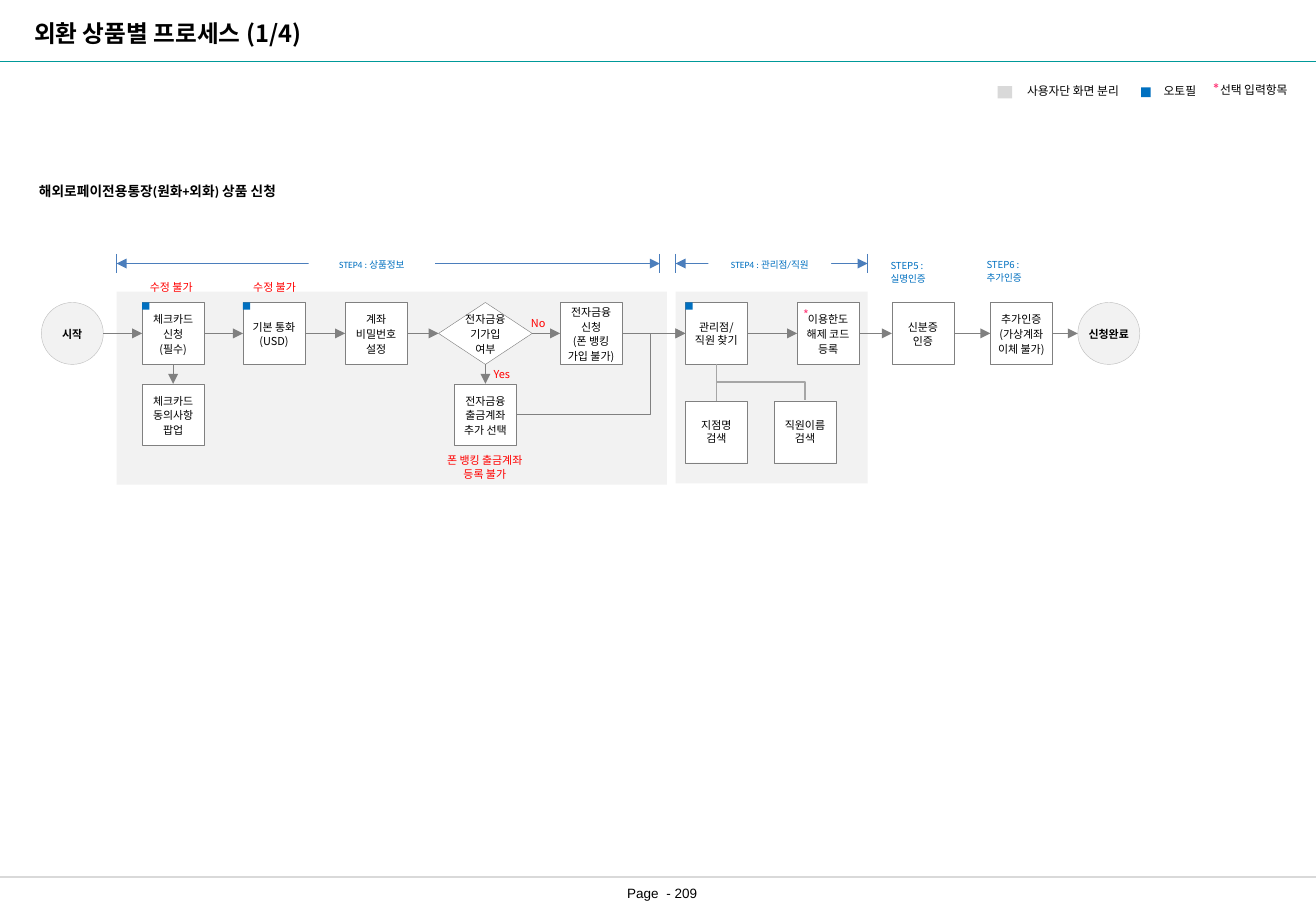
import pptx
import pptx.util
import pptx.dml.color
import pptx.enum.shapes
import pptx.enum.text
import pptx.oxml
import pptx.oxml.ns

Inches = pptx.util.Inches
Pt = pptx.util.Pt
SHAPES = pptx.enum.shapes.MSO_SHAPE
LINES = pptx.enum.shapes.MSO_CONNECTOR
ANCHOR = pptx.enum.text.MSO_ANCHOR
ALIGN = pptx.enum.text.PP_ALIGN
FIT = pptx.enum.text.MSO_AUTO_SIZE.SHAPE_TO_FIT_TEXT

COLORS = {
    "black": "000000", "white": "FFFFFF", "panel": "F2F2F2", "edge": "808080",
    "circle": "BFBFBF", "branch": "A6A6A6", "blue": "0070C0", "bracket": "4B7EBC",
    "red": "FF0000", "pink": "FF3878", "teal": "009999", "pale": "D9D9D9",
}
KOREAN = "Noto Sans CJK KR"
LATIN = "Calibri"
NODE = 0.51
ROW = 2.49
FLOW = ROW + NODE / 2
TOP, LEFT, BOTTOM, RIGHT = range(4)
TIGHT = (0.09, 0.04)
ROOMY = (0.1, 0.05)


def color(name):
    return pptx.dml.color.RGBColor.from_string(COLORS[name])


def add_xml(parent, tag, **attributes):
    child = pptx.oxml.parse_xml(f"<a:{tag} {pptx.oxml.ns.nsdecls('a')}/>")
    for key, value in attributes.items():
        child.set(key, value)
    parent.append(child)


def style_span(span, size, font, ink, bold=False):
    span.font.size = Pt(size)
    span.font.bold = bold
    span.font.color.rgb = color(ink)
    span.font.name = font
    add_xml(span.font._element, "ea", typeface=KOREAN)


def write(shape, text, size=6.5, font=KOREAN, ink="black", bold=False, align=ALIGN.CENTER,
          anchor=ANCHOR.MIDDLE, inset=ROOMY, wrap=False, spacing=1.11):
    frame = shape.text_frame
    frame.text = text
    frame.word_wrap = wrap
    frame.vertical_anchor = anchor
    frame.margin_left = frame.margin_right = Inches(inset[0])
    frame.margin_top = frame.margin_bottom = Inches(inset[1])
    for para in frame.paragraphs:
        para.alignment = align
        para.line_spacing = spacing
        for span in para.runs:
            style_span(span, size, font, ink, bold)


def add_label(page, place, text, **style):
    box = page.shapes.add_textbox(*map(Inches, place))
    write(box, text, **style)
    box.text_frame.auto_size = FIT
    return box


def add_block(page, kind, place, fill, edge=None):
    shape = page.shapes.add_shape(kind, *map(Inches, place))
    shape.shadow.inherit = False
    shape.fill.solid()
    shape.fill.fore_color.rgb = color(fill)
    if edge:
        shape.line.color.rgb = color(edge)
        shape.line.width = Pt(0.25)
    else:
        shape.line.fill.background()
    return shape


def add_node(page, left, text, top=ROW, width=NODE, kind=SHAPES.RECTANGLE, spacing=1.11):
    node = add_block(page, kind, (left, top, width, NODE), "white", "edge")
    write(node, text, spacing=spacing)
    return node


def add_terminal(page, left, text):
    circle = add_block(page, SHAPES.OVAL, (left, ROW, NODE, NODE), "panel", "circle")
    write(circle, text, bold=True)


def add_line(page, start, end, ink="edge", width=0.25, head=False, tail=False, kind=LINES.STRAIGHT):
    line = page.shapes.add_connector(kind, *map(Inches, start + end))
    line.line.color.rgb = color(ink)
    line.line.width = Pt(width)
    outline = line.line._get_or_add_ln()
    if head:
        add_xml(outline, "headEnd", type="triangle")
    if tail:
        add_xml(outline, "tailEnd", type="triangle")
    add_xml(line._element.spPr, "effectLst")
    return line


def join(page, source, source_side, target, target_side, **style):
    line = add_line(page, (0, 0), (1, 1), **style)
    line.begin_connect(source, source_side)
    line.end_connect(target, target_side)
    return line


def set_bend(line, share):
    guides = line._element.spPr.find(pptx.oxml.ns.qn("a:prstGeom")).get_or_add_avLst()
    add_xml(guides, "gd", name="adj1", fmla=f"val {round(share * 100000)}")


def add_bracket(page, left, right, label_left, label_width, text):
    style = {"ink": "bracket", "width": 0.75}
    for end in (left, right):
        add_line(page, (end, 2.09), (end, 2.25), **style)
    add_line(page, (left, 2.17), (right, 2.17), head=True, tail=True, **style)
    label = add_block(page, SHAPES.RECTANGLE, (label_left, 2.08, label_width, 0.2), "white")
    write(label, text, size=5.7, font=LATIN, ink="blue", anchor=ANCHOR.TOP, wrap=True, spacing=1)


def add_frame(page):
    add_line(page, (0, 7.22), (10.83, 7.22), "pale", 0.75)
    add_label(page, (4.85, 7.21, 1.2, 0.29), "Page  - 209", size=8, font="Arial", wrap=True, spacing=1)
    add_line(page, (0, 0.51), (10.83, 0.51), "teal", 0.5)
    add_label(page, (0.17, 0.1, 8.75, 0.34), "외환 상품별 프로세스 (1/4)", size=14, bold=True,
              align=ALIGN.LEFT, inset=(0.11, 0.05), wrap=True, spacing=1)
    add_label(page, (0.23, 1.46, 2.35, 0.22), "해외로페이전용통장(원화+외화) 상품 신청", size=8.1,
              font=LATIN, bold=True, align=ALIGN.LEFT, inset=TIGHT, spacing=1)


def add_legend(page):
    style = {"size": 7, "font": LATIN, "anchor": ANCHOR.TOP, "wrap": True, "spacing": 1}
    add_block(page, SHAPES.RECTANGLE, (8.21, 0.71, 0.12, 0.1), "pale")
    add_label(page, (8.3, 0.64, 1.06, 0.23), "사용자단 화면 분리", **style)
    add_block(page, SHAPES.RECTANGLE, (9.39, 0.72, 0.08, 0.08), "blue")
    add_label(page, (9.39, 0.64, 0.64, 0.22), "오토필", **style)
    optional = add_label(page, (9.88, 0.6, 0.93, 0.25), "*", align=ALIGN.LEFT, **style)
    para = optional.text_frame.paragraphs[0]
    para.runs[0].font.size = Pt(9)
    para.runs[0].font.bold = True
    para.runs[0].font.color.rgb = color("pink")
    span = para.add_run()
    span.text = "선택 입력항목"
    style_span(span, 7, LATIN, "black")


def add_flow(page):
    # Main row
    add_terminal(page, 0.34, "시작")
    add_terminal(page, 8.87, "신청완료")
    card = add_node(page, 1.17, "체크카드\n신청\n(필수)")
    currency = add_node(page, 2, "기본 통화\v(USD)")
    password = add_node(page, 2.84, "계좌\n비밀번호\n설정")
    joined = add_node(page, 3.61, "전자금융\n기가입\n여부", width=0.77,
                      kind=SHAPES.FLOWCHART_DECISION)
    banking = add_node(page, 4.61, "전자금융\n신청\n(폰 뱅킹\n가입 불가)")
    branch = add_node(page, 5.64, "관리점/\v직원 찾기", spacing=1)
    limit = add_node(page, 6.56, "이용한도\n해제 코드\n등록")
    identity = add_node(page, 7.34, "신분증\n인증")
    extra = add_node(page, 8.15, "추가인증\n(가상계좌\n이체 불가)")

    # Lower row
    consent = add_node(page, 1.17, "체크카드\n동의사항\n팝업", top=3.16)
    account = add_node(page, 3.74, "전자금융\n출금계좌\n추가 선택", top=3.16)
    office = add_node(page, 5.64, "지점명\v검색", top=3.3, spacing=1)
    add_node(page, 6.37, "직원이름\v검색", top=3.3, spacing=1)

    # Arrows
    steps = [card, currency, password, joined, banking, branch, limit, identity, extra]
    for source, target in zip(steps, steps[1:]):
        join(page, source, RIGHT, target, LEFT, tail=True)
    for source, target in ((card, consent), (joined, account)):
        join(page, source, BOTTOM, target, TOP, tail=True)
    add_line(page, (0.85, FLOW), (1.17, FLOW), tail=True).end_connect(card, LEFT)
    add_line(page, (8.66, FLOW), (8.87, FLOW), tail=True).begin_connect(extra, RIGHT)
    set_bend(join(page, account, RIGHT, branch, LEFT, tail=True, kind=LINES.ELBOW), 0.79)

    # Search branches: the elbow is turned so that it leaves downwards
    join(page, branch, BOTTOM, office, TOP, ink="branch", width=0.75)
    elbow = add_line(page, (6.41, 2.78), (6.11, 3.51), "branch", 0.75, kind=LINES.ELBOW)
    elbow._element.spPr.xfrm.set("rot", str(270 * 60000))


def add_notes_on_flow(page):
    for left in (1.17, 2, 5.64):
        add_block(page, SHAPES.RECTANGLE, (left, ROW, 0.06, 0.06), "blue")
    add_label(page, (6.51, 2.47, 0.25, 0.24), "*", size=7.3, ink="pink",
              align=ALIGN.LEFT, anchor=ANCHOR.TOP)
    for place, text in (
        ((1.06, 2.26, 0.7, 0.21), "수정 불가"),
        ((1.91, 2.26, 0.7, 0.21), "수정 불가"),
        ((4.18, 2.55, 0.5, 0.21), "No"),
        ((3.88, 2.97, 0.5, 0.21), "Yes"),
        ((3.49, 3.68, 1, 0.33), "폰 뱅킹 출금계좌\n등록 불가"),
    ):
        add_label(page, place, text, ink="red", anchor=ANCHOR.TOP, inset=TIGHT, wrap=True)


def add_steps(page):
    add_bracket(page, 0.96, 5.43, 2.54, 1.04, "STEP4 : 상품정보")
    add_bracket(page, 5.56, 7.14, 5.83, 1.01, "STEP4 : 관리점/직원")
    for left, top, text in ((7.23, 2.08, "STEP5 : \v실명인증"), (8.02, 2.07, "STEP6 : \v추가인증")):
        add_label(page, (left, top, 0.52, 0.31), text, size=5.7, ink="blue",
                  align=ALIGN.LEFT, anchor=ANCHOR.TOP)


def main():
    deck = pptx.Presentation()
    deck.slide_width, deck.slide_height = Inches(10.83), Inches(7.5)
    page = deck.slides.add_slide(deck.slide_layouts[6])
    add_frame(page)
    add_legend(page)
    # Panels behind the flow
    for place in ((0.96, 2.4, 4.53, 1.59), (5.56, 2.4, 1.58, 1.58)):
        add_block(page, SHAPES.RECTANGLE, place, "panel")
    add_flow(page)
    add_notes_on_flow(page)
    add_steps(page)
    deck.save("out.pptx")


if __name__ == "__main__":
    main()
